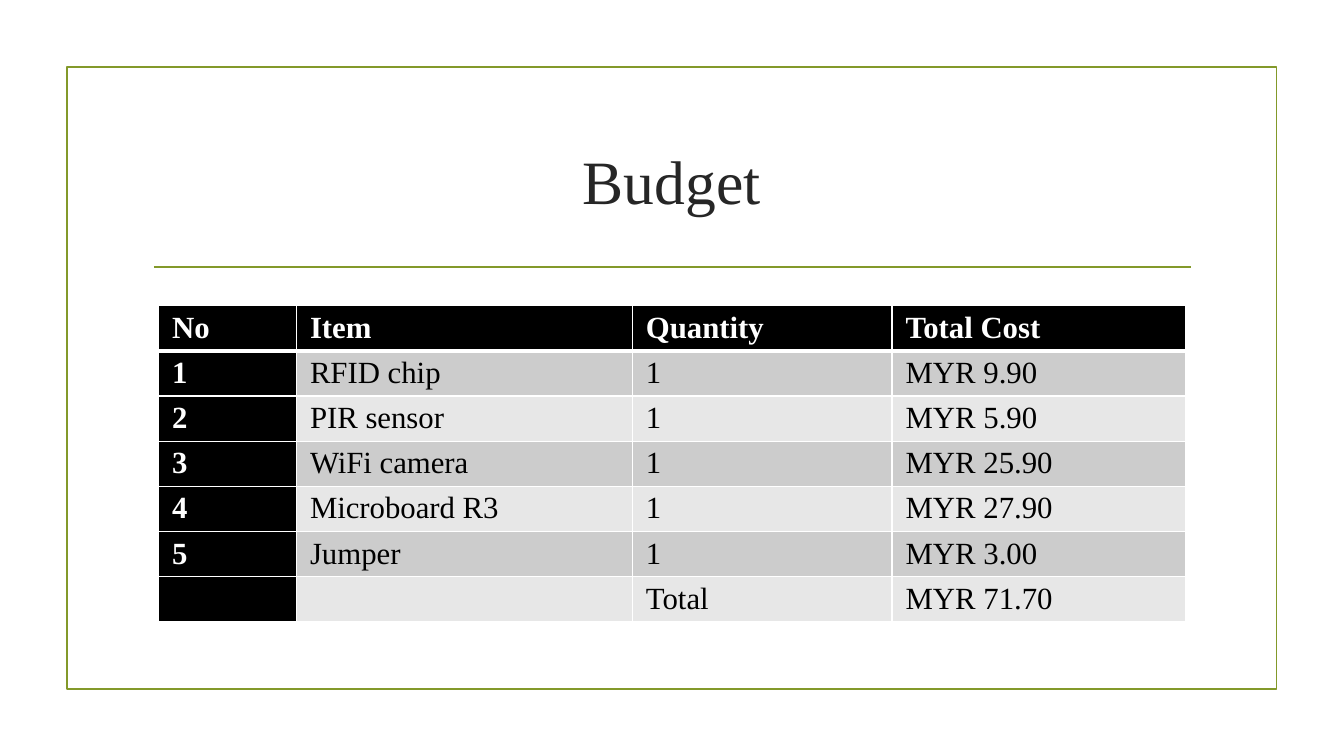
import pptx
import pptx.dml.color
import pptx.enum.shapes
import pptx.enum.text
import pptx.oxml
import pptx.oxml.ns
import pptx.util
from lxml import etree

Pt = pptx.util.Pt
RGBColor = pptx.dml.color.RGBColor

OLIVE = RGBColor(0x83, 0x99, 0x2A)
CHARCOAL = RGBColor(0x26, 0x26, 0x26)
BLACK = RGBColor(0, 0, 0)
WHITE = RGBColor(255, 255, 255)
DARK_BAND = RGBColor(0xCC, 0xCC, 0xCC)
LIGHT_BAND = RGBColor(0xE7, 0xE7, 0xE7)

COLUMN_WIDTHS = (98.5, 240, 185.5, 210)
ROW_HEIGHT = 32.3
BUDGET_ROWS = (
    ("No", "Item", "Quantity", "Total Cost"),
    ("1", "RFID chip", "1", "MYR 9.90"),
    ("2", "PIR sensor", "1", "MYR 5.90"),
    ("3", "WiFi camera", "1", "MYR 25.90"),
    ("4", "Microboard R3", "1", "MYR 27.90"),
    ("5", "Jumper", "1", "MYR 3.00"),
    ("", "", "Total", "MYR 71.70"),
)


class BudgetSlide:
    font_name = "Times New Roman"
    rule_width = Pt(1.25)

    def __init__(self, deck):
        self.slide = deck.slides.add_slide(deck.slide_layouts[5])

    def add_run(self, paragraph, text, size, color, bold=False):
        run = paragraph.add_run()
        run.text = text
        run.font.name = self.font_name
        run.font.size = Pt(size)
        run.font.bold = bold
        run.font.color.rgb = color

    def frame(self, left, top, width, height):
        border = self.slide.shapes.add_shape(
            pptx.enum.shapes.MSO_SHAPE.RECTANGLE,
            Pt(left), Pt(top), Pt(width), Pt(height))
        border.shadow.inherit = False
        border.fill.background()
        border.line.color.rgb = OLIVE
        border.line.width = self.rule_width

    def rule(self, left, right, y):
        divider = self.slide.shapes.add_connector(
            pptx.enum.shapes.MSO_CONNECTOR.STRAIGHT,
            Pt(left), Pt(y), Pt(right), Pt(y))
        divider.line.color.rgb = OLIVE
        divider.line.width = self.rule_width
        etree.SubElement(divider._element.spPr, pptx.oxml.ns.qn("a:effectLst"))

    def title(self, text, left, top, width, height):
        heading = self.slide.shapes.title
        heading.left, heading.top = Pt(left), Pt(top)
        heading.width, heading.height = Pt(width), Pt(height)
        heading.text_frame.vertical_anchor = pptx.enum.text.MSO_ANCHOR.MIDDLE
        paragraph = heading.text_frame.paragraphs[0]
        paragraph.alignment = pptx.enum.text.PP_ALIGN.CENTER
        self.add_run(paragraph, text, 44, CHARCOAL)

    def cell_borders(self, cell, top, bottom):
        properties = cell._tc.get_or_add_tcPr()
        for side, width in (("L", 1), ("R", 1), ("T", top), ("B", bottom)):
            properties.append(pptx.oxml.parse_xml(
                f'<a:ln{side} {pptx.oxml.ns.nsdecls("a")} w="{Pt(width)}">'
                f'<a:solidFill><a:srgbClr val="{WHITE}"/></a:solidFill></a:ln{side}>'))

    def table(self, rows, left, top, widths, row_height):
        grid = self.slide.shapes.add_table(
            len(rows), len(widths), Pt(left), Pt(top),
            Pt(sum(widths)), Pt(row_height * len(rows))).table
        grid.first_col = True
        for column, width in zip(grid.columns, widths):
            column.width = Pt(width)
        for row_index, texts in enumerate(rows):
            grid.rows[row_index].height = Pt(row_height)
            band = DARK_BAND if row_index % 2 else LIGHT_BAND
            for column_index, text in enumerate(texts):
                heading = row_index == 0 or column_index == 0
                cell = grid.cell(row_index, column_index)
                # The line under the header row is thicker than the rest
                self.cell_borders(cell, 3 if row_index == 1 else 1,
                                  3 if row_index == 0 else 1)
                cell.fill.solid()
                cell.fill.fore_color.rgb = BLACK if heading else band
                cell.margin_left = cell.margin_right = Pt(9.8)
                cell.margin_top = cell.margin_bottom = Pt(0)
                if text:
                    paragraph = cell.text_frame.paragraphs[0]
                    paragraph.line_spacing = 1.15
                    paragraph.space_after = Pt(8)
                    self.add_run(paragraph, text, 22,
                                 WHITE if heading else BLACK, heading)


def main():
    deck = pptx.Presentation()
    deck.slide_width, deck.slide_height = Pt(960), Pt(540)
    budget = BudgetSlide(deck)

    # Frame and divider
    budget.frame(47.8, 48, 864, 444.3)
    budget.rule(110, 850.5, 190.8)

    # Title
    budget.title("Budget", 102, 77, 756, 103)

    # Cost table
    budget.table(BUDGET_ROWS, 113.2, 218.3, COLUMN_WIDTHS, ROW_HEIGHT)

    deck.save("out.pptx")


if __name__ == "__main__":
    main()
